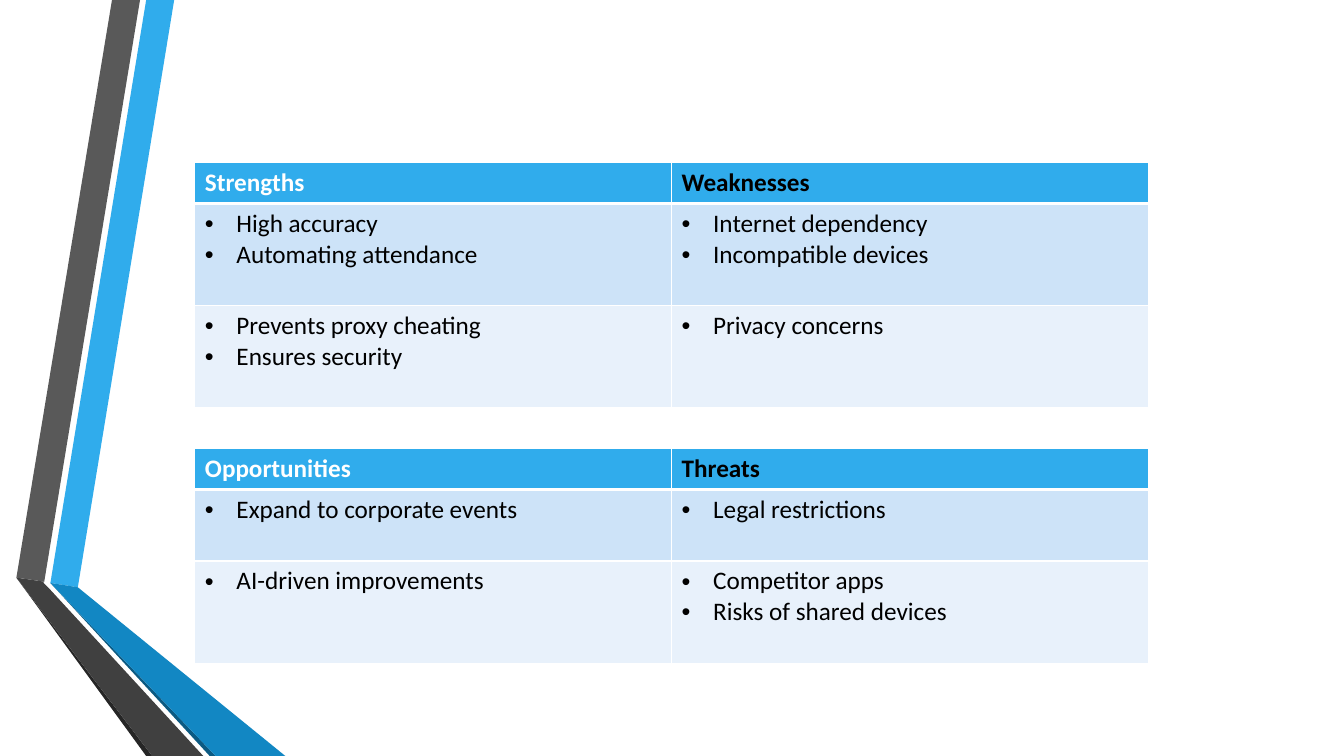
from dataclasses import dataclass

from lxml import etree
from pptx import Presentation
from pptx.dml.color import RGBColor
from pptx.oxml.ns import qn
from pptx.slide import Slide
from pptx.table import _Cell
from pptx.text.text import _Paragraph
from pptx.util import Pt

BLANK_LAYOUT = 6
Point = tuple[float, float]


@dataclass(frozen=True)
class Theme:
    font: str = "Calibri"
    size: float = 18
    white: str = "FFFFFF"
    black: str = "000000"
    blue: str = "30ACEC"
    deep_blue: str = "1287C3"
    navy: str = "0C5A82"
    grey: str = "595959"
    charcoal: str = "404040"
    dark: str = "262626"
    bands: tuple[str, str] = ("CDE3F8", "E8F1FB")


@dataclass(frozen=True)
class Ribbon:
    color: str
    points: tuple[Point, ...]


@dataclass(frozen=True)
class SwotTable:
    top: float
    headings: tuple[str, str]
    rows: tuple[tuple[tuple[str, ...], tuple[str, ...]], ...]


THEME = Theme()
TABLE_LEFT, COLUMN_WIDTH = 139.2, 340.5
LINE_HEIGHT, CELL_PADDING = 21.95, 7.2
BULLET_INDENT = 22.5
THIN, THICK = 1, 3

# Corners shared by the upper and lower parts of the folded ribbons
GREY_LEFT, GREY_RIGHT = (11.7, 412.6), (31.6, 415.5)
BLUE_LEFT, BLUE_RIGHT = (36, 416.4), (55.6, 419.5)

RIBBONS = (
    Ribbon(THEME.blue, (BLUE_LEFT, BLUE_RIGHT, (124.4, 0), (104.4, 0))),
    Ribbon(THEME.grey, ((100, 0), (80, 0), GREY_LEFT, GREY_RIGHT)),
    Ribbon(THEME.dark, (GREY_LEFT, (104.4, 540), (108.7, 540))),
    Ribbon(THEME.navy, (BLUE_LEFT, (149.8, 540), (154.1, 540))),
    Ribbon(THEME.deep_blue, (BLUE_LEFT, (154.1, 540), (203.8, 540), BLUE_RIGHT)),
    Ribbon(THEME.charcoal, ((145.2, 540), (34.6, 419.8), (31, 416.2),
                            GREY_RIGHT, GREY_LEFT, (108.7, 540))),
)

TABLES = (
    SwotTable(116.2, ("Strengths", "Weaknesses"), (
        (("High accuracy", "Automating attendance"),
         ("Internet dependency", "Incompatible devices")),
        (("Prevents proxy cheating", "Ensures security"),
         ("Privacy concerns",)),
    )),
    SwotTable(320.4, ("Opportunities", "Threats"), (
        (("Expand to corporate events",), ("Legal restrictions",)),
        (("AI-driven improvements",),
         ("Competitor apps", "Risks of shared devices")),
    )),
)


def draw_ribbon(slide: Slide, ribbon: Ribbon) -> None:
    corners = [(Pt(x), Pt(y)) for x, y in ribbon.points]
    builder = slide.shapes.build_freeform(*corners[0])
    builder.add_line_segments(corners[1:], close=True)
    sp = builder.convert_to_shape()
    sp.shadow.inherit = False
    sp.fill.solid()
    sp.fill.fore_color.rgb = RGBColor.from_string(ribbon.color)
    sp.line.fill.background()


def set_borders(cell: _Cell, widths: dict[str, float]) -> None:
    tcPr = cell._tc.get_or_add_tcPr()
    for side, width in widths.items():
        ln = etree.SubElement(tcPr, qn(f"a:ln{side}"), w=str(Pt(width)))
        fill = etree.SubElement(ln, qn("a:solidFill"))
        etree.SubElement(fill, qn("a:srgbClr"), val=THEME.white)


def add_bullet(p: _Paragraph) -> None:
    pPr = p._p.get_or_add_pPr()
    pPr.set("marL", str(Pt(BULLET_INDENT)))
    pPr.set("indent", str(-Pt(BULLET_INDENT)))
    etree.SubElement(pPr, qn("a:buFont"), typeface="Arial")
    etree.SubElement(pPr, qn("a:buChar"), char="•")


def fill_cell(cell: _Cell, lines: tuple[str, ...], fill: str, color: str,
              heading: bool = False, below_heading: bool = False) -> None:
    set_borders(cell, {"L": THIN, "R": THIN,
                       "T": THICK if below_heading else THIN,
                       "B": THICK if heading else THIN})
    cell.fill.solid()
    cell.fill.fore_color.rgb = RGBColor.from_string(fill)
    font_format = {"name": THEME.font, "size": Pt(THEME.size), "bold": heading}
    tf = cell.text_frame
    for i, line in enumerate(lines):
        p = tf.add_paragraph() if i else tf.paragraphs[0]
        if not heading:
            add_bullet(p)
        r = p.add_run()
        r.text = line
        for name, value in font_format.items():
            setattr(r.font, name, value)
        r.font.color.rgb = RGBColor.from_string(color)


def draw_table(slide: Slide, swot: SwotTable) -> None:
    """Draw headings over banded rows, each with one spare line of height."""
    line_counts = [1] + [max(map(len, row)) + 1 for row in swot.rows]
    heights = [n * LINE_HEIGHT + CELL_PADDING for n in line_counts]
    columns = len(swot.headings)
    table = slide.shapes.add_table(
        len(heights), columns, Pt(TABLE_LEFT), Pt(swot.top),
        Pt(COLUMN_WIDTH * columns), Pt(sum(heights))).table
    for row, height in zip(table.rows, heights):
        row.height = Pt(height)
    for c, (heading, color) in enumerate(zip(swot.headings, (THEME.white, THEME.black))):
        table.columns[c].width = Pt(COLUMN_WIDTH)
        fill_cell(table.cell(0, c), (heading,), THEME.blue, color, heading=True)
    for r, (row, band) in enumerate(zip(swot.rows, THEME.bands), start=1):
        for c, lines in enumerate(row):
            fill_cell(table.cell(r, c), lines, band, THEME.black, below_heading=r == 1)


def main() -> None:
    prs = Presentation()
    prs.slide_width, prs.slide_height = Pt(960), Pt(540)
    slide = prs.slides.add_slide(prs.slide_layouts[BLANK_LAYOUT])
    for ribbon in RIBBONS:
        draw_ribbon(slide, ribbon)
    for swot in TABLES:
        draw_table(slide, swot)
    prs.save("out.pptx")


if __name__ == "__main__":
    main()
